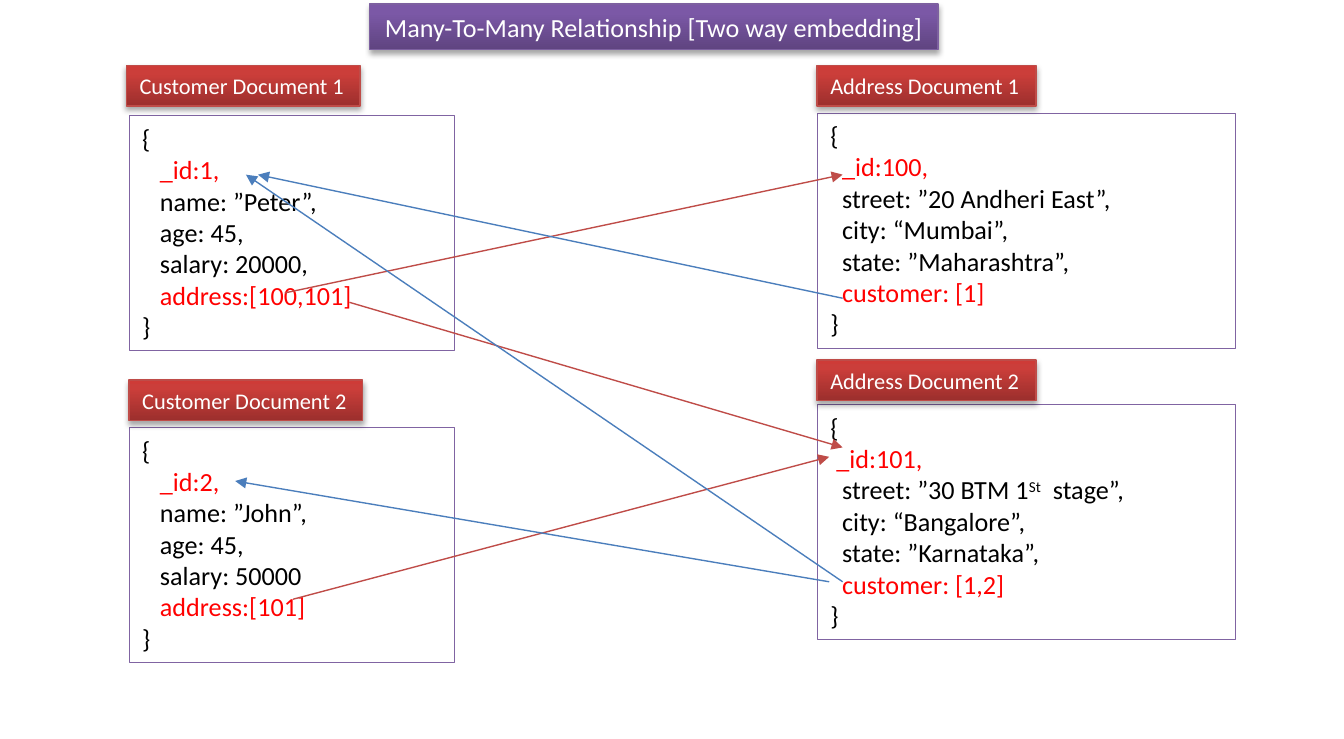
"""Build a slide of a many-to-many relationship with two way embedding."""
from lxml import etree
from pptx import Presentation
from pptx.dml.color import RGBColor
from pptx.enum.shapes import MSO_CONNECTOR, MSO_SHAPE
from pptx.enum.text import MSO_ANCHOR, MSO_AUTO_SIZE, PP_ALIGN
from pptx.oxml import parse_xml
from pptx.oxml.ns import nsdecls, qn
from pptx.util import Inches, Pt

RECT, STRAIGHT = MSO_SHAPE.RECTANGLE, MSO_CONNECTOR.STRAIGHT
LEFT, CENTER = PP_ALIGN.LEFT, PP_ALIGN.CENTER
TOP, MIDDLE = MSO_ANCHOR.TOP, MSO_ANCHOR.MIDDLE
FIXED = MSO_AUTO_SIZE.NONE
PURPLE = ("5F4480", "7B58A6", "7C57A8")
RED = ("9C2F2D", "CB3E3A", "CE3B37")
RED_LINE, BLUE_LINE = "BF4C48", "4B7EBC"


def paint(fmt, color):
    fmt.solid()
    fmt.fore_color.rgb = RGBColor.from_string(color)


def write(p, text, size=14, color="000000", align=LEFT, raised=False):
    p.alignment = align
    r = p.add_run()
    r.text = text
    r.font.name, r.font.size = "Calibri", Pt(size)
    paint(r.font.fill, color)
    if raised:
        r.font._element.set("baseline", "30000")


prs = Presentation()
prs.slide_width, prs.slide_height = Inches(10), Inches(5.5)
col, row = prs.slide_width / 100, prs.slide_height / 55
s = prs.slides.add_slide(prs.slide_layouts[5])

documents = [
    (9.6, 8.6, 24.2, ["{", "   _id:1,", "   name: ”Peter”,", "   age: 45,",
                      "   salary: 20000,", "   address:[100,101]", "}"]),
    (60.8, 8.4, 31.1, ["{", "  _id:100,", "  street: ”20 Andheri East”,", "  city: “Mumbai”,",
                       "  state: ”Maharashtra”,", "  customer: [1]", "}"]),
    (60.8, 30.1, 31.1, ["{", " _id:101,", "  street: ”30 BTM 1^St^  stage”,", "  city: “Bangalore”,",
                        "  state: ”Karnataka”,", "  customer: [1,2]", "}"]),
    (9.6, 31.8, 24.2, ["{", "   _id:2,", "   name: ”John”,", "   age: 45,",
                       "   salary: 50000", "   address:[101]", "}"]),
]
for x, y, w, lines in documents:
    sp = s.shapes.add_shape(RECT, int(x * col), int(y * row), int(w * col), int(17.5 * row))
    sp.shadow.inherit = False
    paint(sp.fill, "FFFFFF")
    paint(sp.line.fill, "8064A2")
    sp.line.width = Pt(0.25)
    tf = sp.text_frame
    tf.word_wrap, tf.auto_size, tf.vertical_anchor = True, FIXED, TOP
    for i, line in enumerate(lines):
        p = tf.add_paragraph() if i else tf.paragraphs[0]
        is_key = line.strip().startswith(("_id", "address", "customer"))
        for j, part in enumerate(line.split("^")):
            write(p, part, color="FF0000" if is_key else "000000", raised=j == 1)

arrows = [
    (21.2, 21.8, 62.7, 13, RED_LINE),
    (26, 22.5, 62.7, 33.3, RED_LINE),
    (21.8, 44.6, 61.7, 34, RED_LINE),
    (62.7, 43.3, 18.3, 13, BLUE_LINE),
    (61.7, 43.3, 17.5, 35.8, BLUE_LINE),
    (62.7, 22.2, 19.2, 13, BLUE_LINE),
]
for x1, y1, x2, y2, color in arrows:
    c = s.shapes.add_connector(STRAIGHT, int(x1 * col), int(y1 * row), int(x2 * col), int(y2 * row))
    paint(c.line.fill, color)
    c.line.width = Pt(0.75)
    etree.SubElement(c.line._get_or_add_ln(), qn("a:tailEnd"), type="triangle")
    etree.SubElement(c._element.spPr, qn("a:effectLst"))

banners = [
    ("Many-To-Many Relationship [Two way embedding]", 27.5, 0.3, 42.3, 3.4, 14, PURPLE, "7D60A0"),
    ("Address Document 1", 60.8, 4.9, 16.3, 3, 12, RED, RED_LINE),
    ("Address Document 2", 60.8, 26.8, 16.3, 3, 12, RED, RED_LINE),
    ("Customer Document 1", 9.4, 4.9, 17.4, 3, 12, RED, RED_LINE),
    ("Customer Document 2", 9.6, 28.3, 17.4, 3, 12, RED, RED_LINE),
]
for text, x, y, w, h, size, shades, edge in banners:
    is_title = shades == PURPLE
    sp = s.shapes.title if is_title else s.shapes.add_shape(RECT, 0, 0, 0, 0)
    sp.left, sp.top, sp.width, sp.height = int(x * col), int(y * row), int(w * col), int(h * row)
    stops = "".join(f'<a:gs pos="{pos}"><a:srgbClr val="{shade}"/></a:gs>'
                    for pos, shade in zip((0, 80000, 100000), shades))
    sp._element.spPr.append(parse_xml(
        f'<a:gradFill {nsdecls("a")} rotWithShape="1"><a:gsLst>{stops}</a:gsLst>'
        '<a:lin ang="16200000" scaled="0"/></a:gradFill>'))
    paint(sp.line.fill, edge)
    sp.line.width = Pt(0.75)
    sp._element.spPr.append(parse_xml(
        f'<a:effectLst {nsdecls("a")}><a:outerShdw blurRad="{Pt(3.1)}" dist="{Pt(1.8)}" dir="5400000" '
        'rotWithShape="0"><a:srgbClr val="000000"><a:alpha val="35000"/></a:srgbClr>'
        '</a:outerShdw></a:effectLst>'))
    tf = sp.text_frame
    tf.word_wrap, tf.auto_size, tf.vertical_anchor = is_title, FIXED, MIDDLE
    write(tf.paragraphs[0], text, size=size, color="FFFFFF", align=CENTER if is_title else LEFT)

prs.save("out.pptx")
